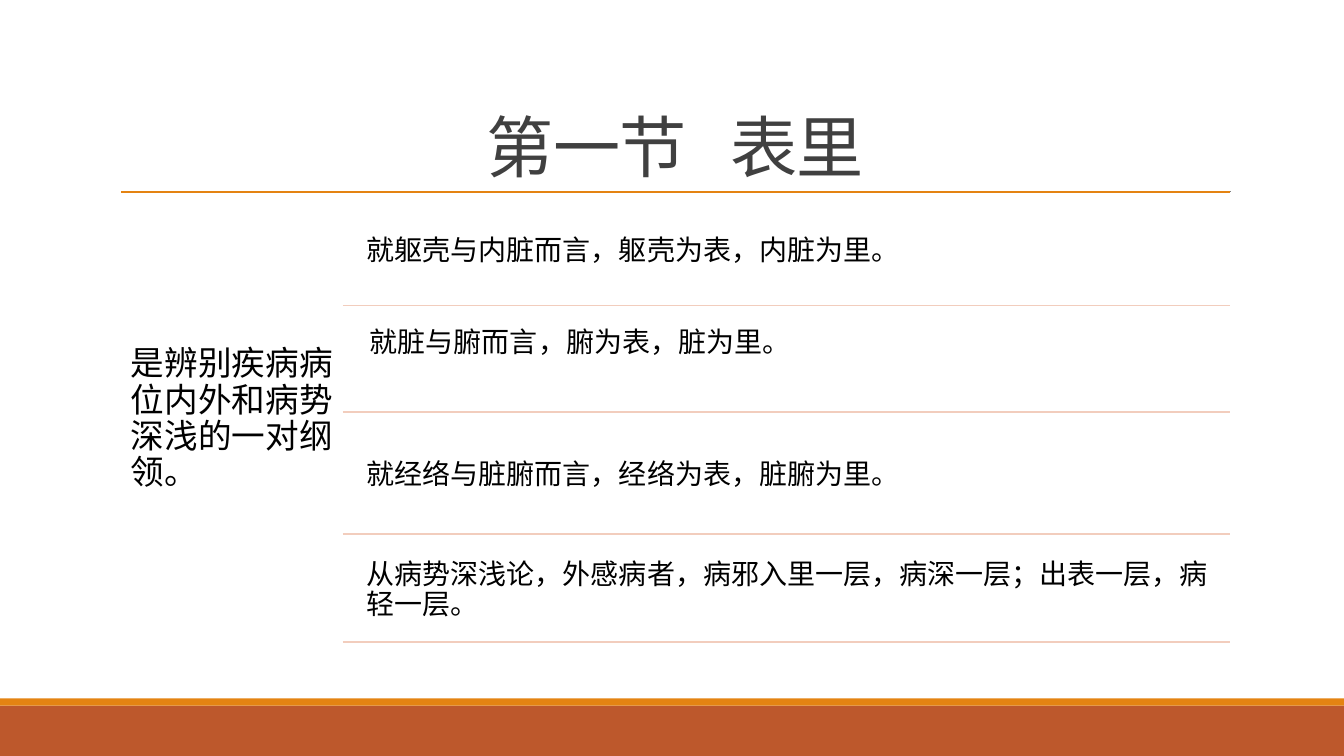
from dataclasses import dataclass
from lxml.etree import SubElement
from pptx import Presentation
from pptx.dml.color import RGBColor as Rgb
from pptx.enum.shapes import MSO_CONNECTOR as Link, MSO_SHAPE as Shape
from pptx.enum.text import MSO_ANCHOR as Anchor, MSO_AUTO_SIZE as Auto, PP_ALIGN as Align
from pptx.oxml.ns import qn
from pptx.util import Cm, Pt

# Content
TITLE = ("第一节", " ", "表里")
LEAD = "是辨别疾病病位内外和病势深浅的一对纲领。"
# text, foot of row, gap above, left edge, inset, line spacing, anchor
ROWS = [
    ("就躯壳与内脏而言，躯壳为表，内脏为里。", 7.7, 0.13, 9.04, 0.2, 0.9, Anchor.MIDDLE),
    ("就脏与腑而言，腑为表，脏为里。", 10.39, 0.28, 9.07, 0.25, 1, Anchor.TOP),
    ("就经络与脏腑而言，经络为表，脏腑为里。", 13.46, 0.13, 9.04, 0.2, 0.9, Anchor.MIDDLE),
    ("从病势深浅论，外感病者，病邪入里一层，病深一层；出表一层，病轻一层。",
     16.18, 0.13, 9.04, 0.2, 0.9, Anchor.MIDDLE),
]


@dataclass(frozen=True)
class Theme:
    rust: str = "BD582C"
    amber: str = "E48312"
    blush: str = "F2CDBD"
    grey: str = "808080"
    head: str = "404040"
    ink: str = "000000"
    latin: str = "Calibri"
    asian: str = "Noto Sans CJK SC"
    title: int = 48
    lead: int = 24
    row: int = 20


T = Theme()
WIDE, HIGH = 33.87, 19.05
LEFT, SPLIT, RIGHT, TOP = 3.05, 8.64, 30.99, 4.83


def band(slide, top, high, fill):
    bar = slide.shapes.add_shape(Shape.RECTANGLE, 0, Cm(top), Cm(WIDE), Cm(high))
    bar.shadow.inherit = False
    bar.fill.solid()
    bar.fill.fore_color.rgb = Rgb.from_string(fill)
    bar.line.fill.background()


def rule(slide, left, right, y, tint, width=1.25):
    line = slide.shapes.add_connector(Link.STRAIGHT, Cm(left), Cm(y), Cm(right), Cm(y))
    line.line.color.rgb = Rgb.from_string(tint)
    line.line.width = Pt(width)
    SubElement(line._element.spPr, qn("a:effectLst"))


def style(para, size, tint, face, space, align):
    para.alignment = align
    para.line_spacing = space
    font = para.font
    font.size = Pt(size)
    font.name = face
    font.color.rgb = Rgb.from_string(tint)
    SubElement(font._element, qn("a:ea")).set("typeface", T.asian)


def write(slide, text, box, size, inset, space, anchor, align=Align.LEFT):
    frame = slide.shapes.add_textbox(*map(Cm, box)).text_frame
    frame.word_wrap = True
    frame.vertical_anchor = anchor
    frame.margin_left = frame.margin_right = Cm(inset)
    frame.margin_top = frame.margin_bottom = Cm(min(inset, 0.2))
    para = frame.paragraphs[0]
    para.text = text
    style(para, size, T.ink, T.latin, space, align)


def head(slide):
    title = slide.shapes.title
    title.left, title.top, title.width, title.height = map(Cm, (LEFT, 0.79, 27.94, 4.04))
    frame = title.text_frame
    frame.auto_size = Auto.NONE
    frame.word_wrap = True
    frame.vertical_anchor = Anchor.BOTTOM
    para = frame.paragraphs[0]
    for part in TITLE:
        run = para.add_run()
        run.text = part
        # The single space is tracked out to set the gap
        run.font._element.set("spc", "2000" if part == " " else "-50")
    style(para, T.title, T.head, T.asian, 0.85, Align.CENTER)


def main():
    deck = Presentation()
    deck.slide_width, deck.slide_height = Cm(WIDE), Cm(HIGH)
    slide = deck.slides.add_slide(deck.slide_layouts[5])

    # Footer bands and title
    band(slide, 17.78, 1.27, T.rust)
    band(slide, 17.6, 0.18, T.amber)
    rule(slide, 3.33, 31.01, TOP, T.grey, 0.5)
    head(slide)
    rule(slide, LEFT, RIGHT, TOP, T.amber)

    # Lead text on the left
    write(slide, LEAD, (LEFT, TOP, SPLIT - LEFT, 11.48), T.lead, 0.25, 0.9,
          Anchor.MIDDLE, Align.JUSTIFY)

    # Ruled rows on the right
    top = TOP
    for text, foot, gap, left, inset, space, anchor in ROWS:
        box = (left, top + gap, 21.92, foot - top - gap)
        write(slide, text, box, T.row, inset, space, anchor)
        rule(slide, SPLIT, RIGHT, foot, T.blush)
        top = foot

    deck.save("out.pptx")


if __name__ == "__main__":
    main()
